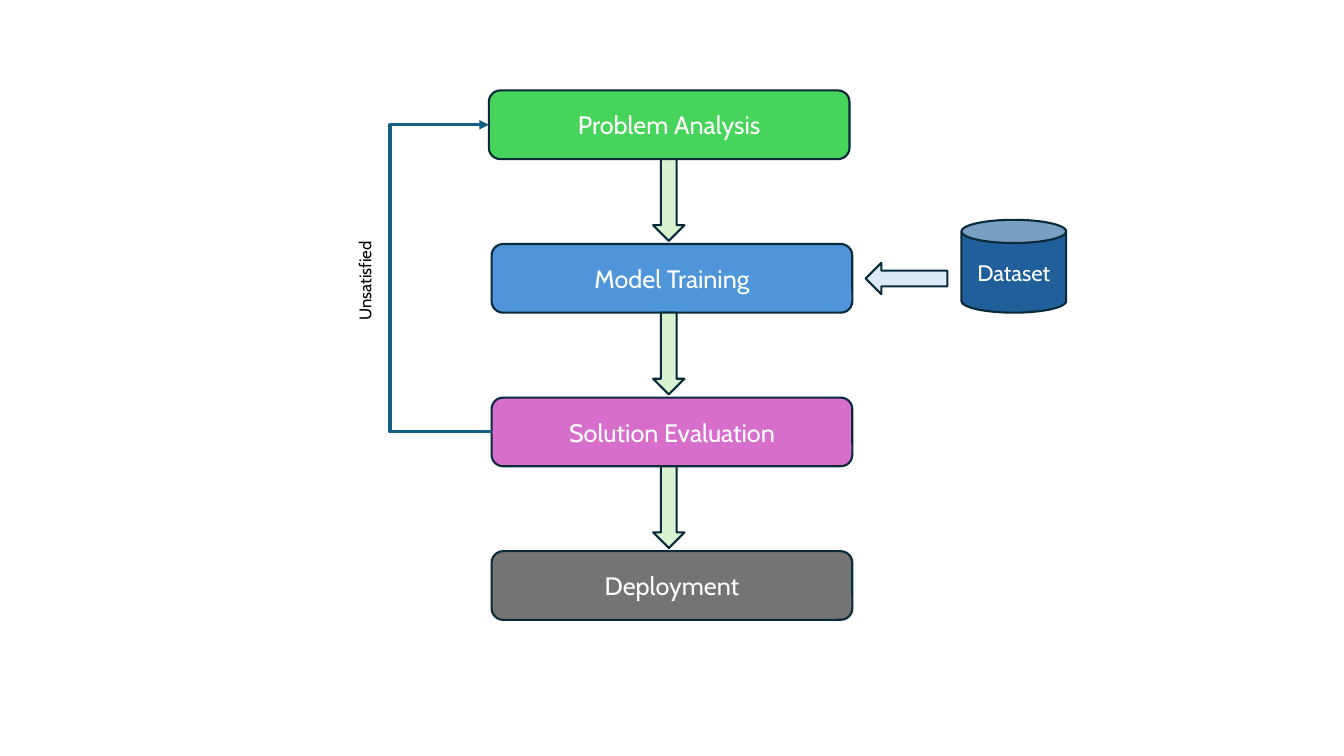
from dataclasses import dataclass

from pptx import Presentation
from pptx.dml.color import RGBColor
from pptx.enum.shapes import MSO_CONNECTOR as Connector, MSO_SHAPE as Shape
from pptx.enum.text import MSO_ANCHOR as Anchor, MSO_AUTO_SIZE as AutoSize, PP_ALIGN as Align
from pptx.oxml.ns import qn
from pptx.util import Cm, Pt
from lxml import etree


@dataclass(frozen=True)
class Theme:
    font: str = "Cabin"
    step_size: int = 18
    dataset_size: int = 16
    label_size: int = 12
    outline_width: float = 1.5
    loop_width: float = 2.25
    light_text: str = "FFFFFF"
    dark_text: str = "000000"
    outline: str = "092A39"
    loop: str = "156082"
    analysis: str = "47D45A"
    training: str = "4E95D9"
    evaluation: str = "D86ECC"
    deployment: str = "747474"
    flow_arrow: str = "D9F2D0"
    data_arrow: str = "DCEAF7"
    dataset: str = "215F9A"


theme = Theme()

presentation = Presentation()
presentation.slide_width, presentation.slide_height = Cm(33.87), Cm(19.05)
slide = presentation.slides.add_slide(presentation.slide_layouts[6])


def add_block(kind, left, top, width, height, fill):
    """Add an outlined, filled shape; lengths are in centimetres."""
    shape = slide.shapes.add_shape(kind, Cm(left), Cm(top), Cm(width), Cm(height))
    shape.shadow.inherit = False
    shape.fill.solid()
    shape.fill.fore_color.rgb = RGBColor.from_string(fill)
    shape.line.color.rgb = RGBColor.from_string(theme.outline)
    shape.line.width = Pt(theme.outline_width)
    return shape


def write_text(shape, text, size, color, align=Align.CENTER):
    paragraph = shape.text_frame.paragraphs[0]
    paragraph.alignment = align
    run = paragraph.add_run()
    run.text = text
    run.font.name = theme.font
    run.font.size = Pt(size)
    run.font.color.rgb = RGBColor.from_string(color)


# Process steps, top to bottom
step_top, step_pitch, step_width, step_height = 2.28, 3.87, 9.09, 1.73
arrow_width, arrow_length = 0.79, 2.06
steps = [
    ("Problem Analysis", 12.32, theme.analysis),
    ("Model Training", 12.39, theme.training),
    ("Solution Evaluation", 12.39, theme.evaluation),
    ("Deployment", 12.39, theme.deployment),
]
boxes = []
for index, (name, left, fill) in enumerate(steps):
    top = step_top + index * step_pitch
    box = add_block(Shape.ROUNDED_RECTANGLE, left, top, step_width, step_height, fill)
    box.text_frame.vertical_anchor = Anchor.MIDDLE
    write_text(box, name, theme.step_size, theme.light_text)
    boxes.append(box)

for index in range(len(steps) - 1):
    top = step_top + index * step_pitch + step_height
    add_block(Shape.DOWN_ARROW, 16.46, top, arrow_width, arrow_length, theme.flow_arrow)

# Feedback loop from evaluation back to analysis
left_side = 1
analysis, evaluation = boxes[0], boxes[2]
loop = slide.shapes.add_connector(Connector.ELBOW, 0, 0, 0, 0)
loop.begin_x, loop.begin_y = evaluation.left, evaluation.top + evaluation.height // 2
loop.end_x, loop.end_y = analysis.left, analysis.top + analysis.height // 2
loop.begin_connect(evaluation, left_side)
loop.end_connect(analysis, left_side)
loop.line.color.rgb = RGBColor.from_string(theme.loop)
loop.line.width = Pt(theme.loop_width)
bend = round((loop.begin_x - Cm(9.83)) / loop.width * 100000)
guides = loop._element.spPr.find(qn("a:prstGeom")).get_or_add_avLst()
etree.SubElement(guides, qn("a:gd"), name="adj1", fmla=f"val {bend}")
etree.SubElement(loop.line._get_or_add_ln(), qn("a:tailEnd"), type="triangle")
etree.SubElement(loop._element.spPr, qn("a:effectLst"))

loop_label = slide.shapes.add_textbox(Cm(8.81), Cm(5.97), Cm(1.02), Cm(2.36))
loop_label.text_frame.word_wrap = False
loop_label.text_frame.auto_size = AutoSize.SHAPE_TO_FIT_TEXT
loop_label.text_frame._txBody.bodyPr.set("vert", "vert270")
write_text(loop_label, "Unsatisfied", theme.label_size, theme.dark_text, Align.LEFT)

# Dataset feeding the training step
dataset = add_block(Shape.CAN, 24.23, 5.54, 2.64, 2.34, theme.dataset)
dataset.text_frame.vertical_anchor = Anchor.MIDDLE
write_text(dataset, "Dataset", theme.dataset_size, theme.light_text)
data_arrow = add_block(Shape.DOWN_ARROW, 22.45, 5.99, arrow_width, arrow_length, theme.data_arrow)
data_arrow.rotation = 90

presentation.save("out.pptx")
